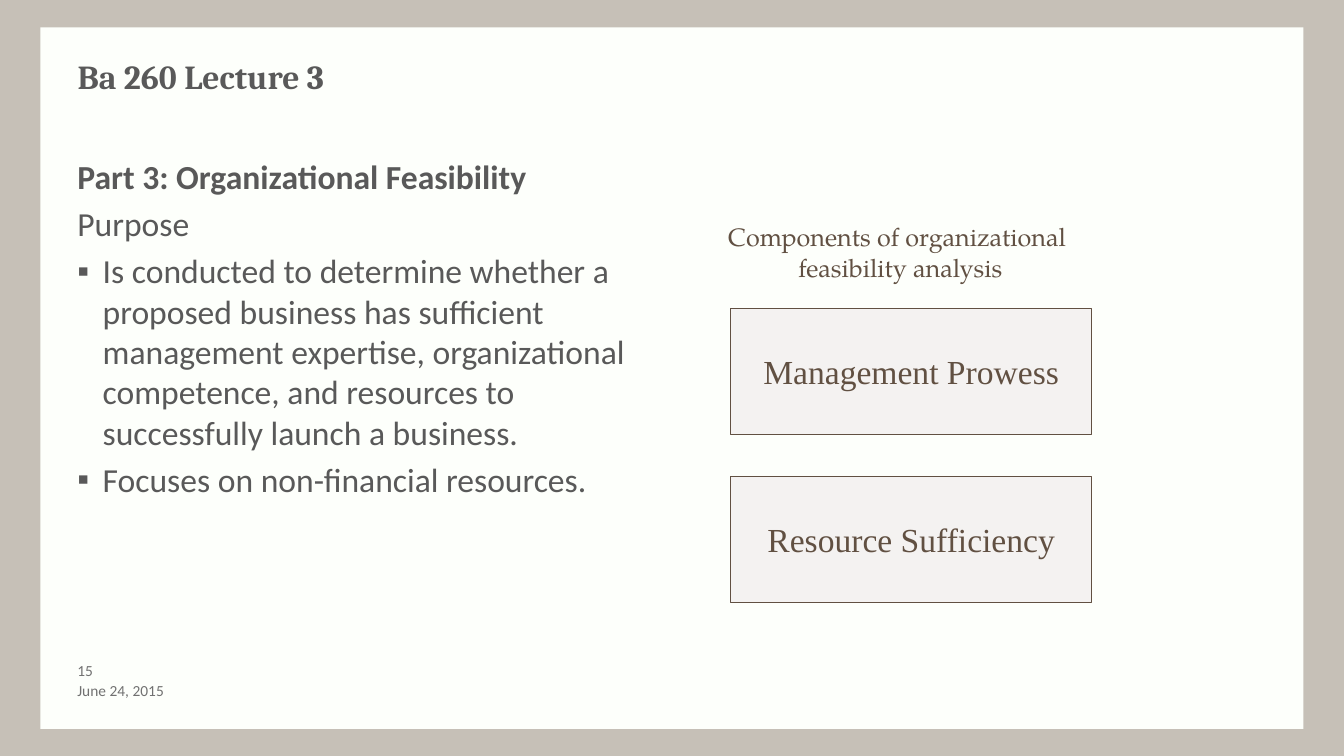
from lxml import etree
from pptx import Presentation
from pptx.dml.color import RGBColor
from pptx.enum import shapes, text
from pptx.oxml.ns import qn
from pptx.util import Cm, Pt

GREY, BROWN, PALE = "595959", "615042", "717171"
SANS, SERIF = "Calibri", "Times New Roman"
LEFT = 1.7

TITLE = "Ba 260 Lecture 3"
HEADS = ["Part 3: Organizational Feasibility", "Purpose"]
POINTS = [
    "Is conducted to determine whether a proposed business has sufficient "
    "management expertise, organizational competence, and resources to "
    "successfully launch a business.",
    "Focuses on non-financial resources.",
]
CAPTION = ["Components of organizational ", "feasibility analysis"]
PARTS = ["Management Prowess", "Resource Sufficiency"]
NUMBER, DATE = "15", "June 24, 2015"


def color(code):
    return RGBColor.from_string(code)


def write(frame, line, size=24, font=SANS, tint=GREY, bold=False,
          align=text.PP_ALIGN.LEFT, before=0, bullet=None):
    """Add one paragraph, using the first one while it is empty."""
    para = frame.paragraphs[0]
    if para.runs:
        para = frame.add_paragraph()
    para.alignment = align
    para.space_before = Pt(before)
    run = para.add_run()
    run.text = line
    run.font.size, run.font.name, run.font.bold = Pt(size), font, bold
    run.font.color.rgb = color(tint)
    if bullet:
        props = para._p.get_or_add_pPr()
        props.set("marL", str(Cm(0.64)))
        props.set("indent", str(-Cm(0.64)))
        etree.SubElement(props, qn("a:buFont")).set("typeface", "Arial")
        etree.SubElement(props, qn("a:buChar")).set("char", bullet)


def box(x, y, w, h, pad=0.13):
    """Add a wrapping text box; pad is its top and bottom inset."""
    frame = slide.shapes.add_textbox(Cm(x), Cm(y), Cm(w), Cm(h)).text_frame
    frame.word_wrap = True
    frame.margin_top = frame.margin_bottom = Cm(pad)
    return frame


def rect(x, y, w, h, fill, line=None):
    shape = slide.shapes.add_shape(
        shapes.MSO_SHAPE.RECTANGLE, Cm(x), Cm(y), Cm(w), Cm(h))
    shape.shadow.inherit = False
    shape.fill.solid()
    shape.fill.fore_color.rgb = color(fill)
    if line:
        shape.line.color.rgb = color(line)
        shape.line.width = Pt(0.75)
    else:
        shape.line.fill.background()
    return shape


deck = Presentation()
deck.slide_width, deck.slide_height = Cm(33.87), Cm(19.05)
slide = deck.slides.add_slide(deck.slide_layouts[5])
slide.background.fill.solid()
slide.background.fill.fore_color.rgb = color("C6C0B7")

panel = rect(1.02, 0.69, 31.83, 17.68, "FDFFFB")
title = slide.shapes.title
panel._element.addnext(title._element)
title.left, title.top = Cm(LEFT), Cm(1.27)
title.width, title.height = Cm(30.48), Cm(1.91)
head = title.text_frame
head.vertical_anchor = text.MSO_ANCHOR.TOP
head.auto_size = text.MSO_AUTO_SIZE.NONE
write(head, TITLE, font="Cambria", bold=True)

body = box(LEFT, 3.81, 14.83, 12.07)
for i, line in enumerate(HEADS):
    write(body, line, bold=i == 0, before=4.8)
for line in POINTS:
    write(body, line, before=4.8, bullet="▪")

for line, y in [(NUMBER, 16.64), (DATE, 17.15)]:
    foot = box(LEFT, y, 6.78, 0.51, pad=0)
    foot.vertical_anchor = text.MSO_ANCHOR.MIDDLE
    write(foot, line, size=11, tint=PALE)

note = box(14.22, 5.46, 16.94, 1.8)
for line in CAPTION:
    write(note, line, size=18, font="TeX Gyre Pagella", tint=BROWN,
          align=text.PP_ALIGN.CENTER)

for i, part in enumerate(PARTS):
    frame = rect(18.42, 7.77 + i * 4.23, 9.09, 3.18, "F4F2F1", BROWN).text_frame
    frame.word_wrap = False
    frame.vertical_anchor = text.MSO_ANCHOR.MIDDLE
    write(frame, part, font=SERIF, tint=BROWN, align=text.PP_ALIGN.CENTER)

deck.save("out.pptx")
